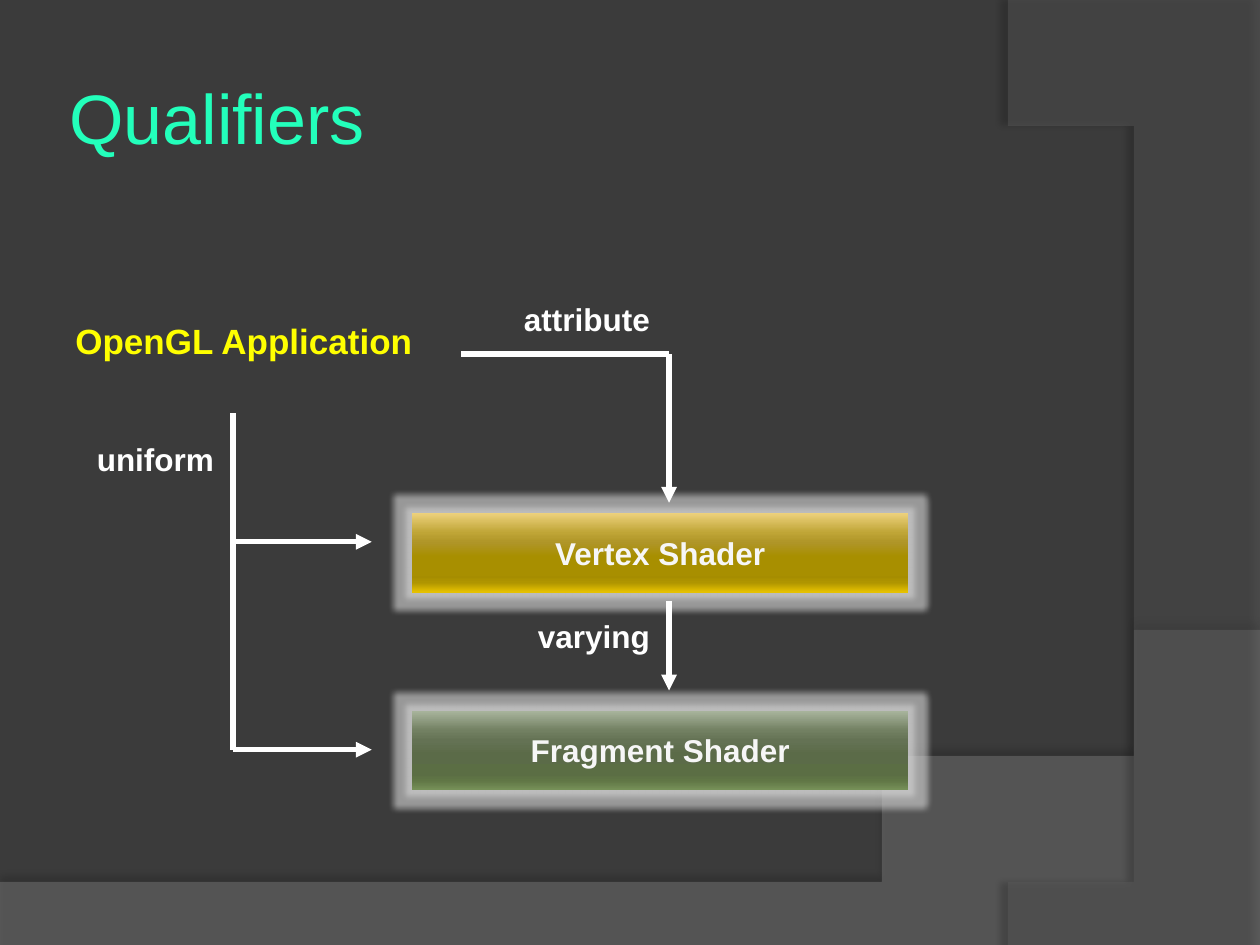
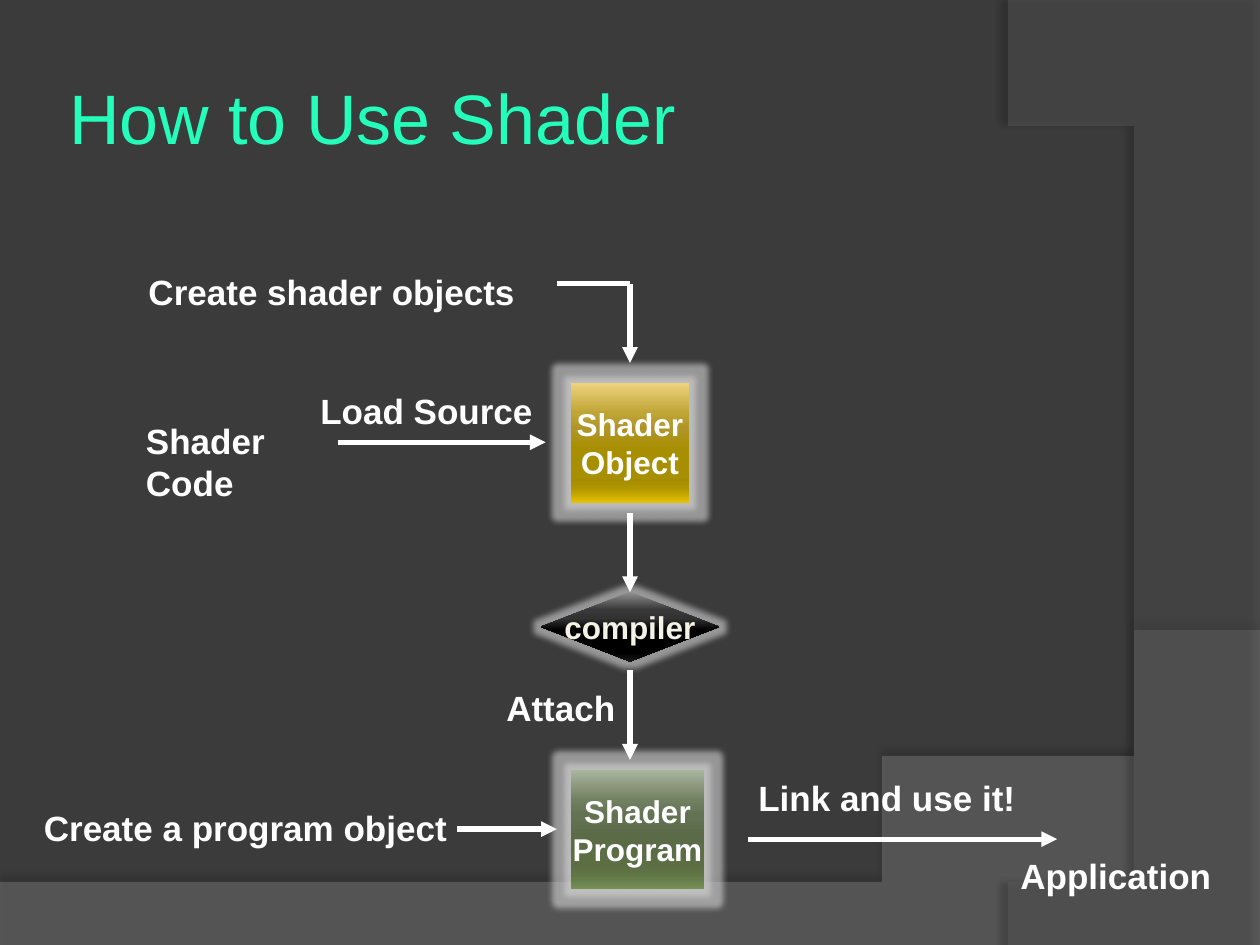
from dataclasses import dataclass

from lxml import etree
from pptx import Presentation
from pptx.dml.color import RGBColor
from pptx.enum.shapes import MSO_CONNECTOR, MSO_SHAPE
from pptx.enum.text import MSO_ANCHOR, MSO_AUTO_SIZE, PP_ALIGN
from pptx.oxml.ns import qn
from pptx.slide import Slide
from pptx.util import Inches, Pt

STRAIGHT = MSO_CONNECTOR.STRAIGHT
RECTANGLE, DIAMOND = MSO_SHAPE.RECTANGLE, MSO_SHAPE.DIAMOND
TOP, MIDDLE = MSO_ANCHOR.TOP, MSO_ANCHOR.MIDDLE
LEFT, CENTER = PP_ALIGN.LEFT, PP_ALIGN.CENTER
GROW = MSO_AUTO_SIZE.SHAPE_TO_FIT_TEXT

FONT = "Arial"
CHARCOAL = RGBColor(0x3B, 0x3B, 0x3B)
HILL_GRAY = RGBColor(0x7F, 0x7F, 0x7F)
ARC_GRAY = RGBColor(0x5E, 0x5E, 0x5E)
BLACK = RGBColor(0, 0, 0)
MINT = RGBColor(0x23, 0xFF, 0xBB)
YELLOW = RGBColor(0xFF, 0xFF, 0)
WHITE = RGBColor(0xFF, 0xFF, 0xFF)
OFF_WHITE = RGBColor(0xF6, 0xF6, 0xF6)
CREAM = RGBColor(0xF3, 0xF2, 0xE5)
GLOW = RGBColor(0xD6, 0xD6, 0xD6)


def palette(*codes):
    return [RGBColor.from_string(code) for code in codes]


STOPS = (0, 25, 38, 55, 80, 88, 100)
GOLD = palette("EED27E", "BFA536", "AF9527", "A88F00", "A68D00", "AF9500", "E6C100")
GREEN = palette("A9B59D", "728062", "647254", "5B6B48", "5B6E44", "607645", "769058")
INK = palette("909090", "393939", "323232", "000000", "000000", "000000", "181818")


def add_child(parent, tag, **attributes):
    values = {name: str(value) for name, value in attributes.items()}
    return etree.SubElement(parent, qn(tag), values)


def add_color(parent, color, opacity=100):
    node = add_child(parent, "a:srgbClr", val=color)
    if opacity < 100:
        add_child(node, "a:alpha", val=opacity * 1000)


def add_effect(shape, tag, color, opacity, **attributes):
    shape.shadow.inherit = False
    effects = shape.element.spPr.find(qn("a:effectLst"))
    add_color(add_child(effects, tag, **attributes), color, opacity)


def write_text(shape, text, size=18, color=WHITE, bold=True, align=LEFT,
               anchor=TOP, wrap=True):
    frame = shape.text_frame
    frame.text = text
    frame.word_wrap = wrap
    frame.vertical_anchor = anchor
    for paragraph in frame.paragraphs:
        paragraph.alignment = align
        font = paragraph.runs[0].font
        font.name, font.size, font.bold = FONT, Pt(size), bold
        font.color.rgb = color
    return frame


def fill_gradient(shape, colors):
    shape.fill.gradient()
    shape.fill.gradient_angle = 270
    stop_list = shape.element.spPr.find(qn("a:gradFill")).find(qn("a:gsLst"))
    for stop in list(stop_list):
        stop_list.remove(stop)
    for position, color in zip(STOPS, colors):
        add_color(add_child(stop_list, "a:gs", pos=position * 1000), color)


@dataclass
class Diagram:
    slide: Slide
    left: float
    top: float

    def place(self, x, y):
        return Inches(self.left + x), Inches(self.top + y)

    def label(self, text, x, y, width, height=0.44, size=20, **style):
        box = self.slide.shapes.add_textbox(
            *self.place(x, y), Inches(width), Inches(height))
        write_text(box, text, size=size, **style).auto_size = GROW

    def stage(self, text, x, y, width, height, colors, color=WHITE, outline=RECTANGLE):
        block = self.slide.shapes.add_shape(
            outline, *self.place(x, y), Inches(width), Inches(height))
        fill_gradient(block, colors)
        block.line.fill.background()
        add_effect(block, "a:glow", GLOW, 60, rad=Inches(0.1))
        write_text(block, text, color=color, align=CENTER, anchor=MIDDLE, wrap=False)

    def line(self, start, end, arrow=True):
        link = self.slide.shapes.add_connector(
            STRAIGHT, *self.place(*start), *self.place(*end))
        link.line.color.rgb = WHITE
        link.line.width = Pt(3)
        if arrow:
            add_child(link.element.spPr.find(qn("a:ln")), "a:tailEnd", type="triangle")
        add_child(link.element.spPr, "a:effectLst")


def bezier(p0, p1, p2, p3, steps=48):
    points = []
    for step in range(1, steps + 1):
        t = step / steps
        weights = ((1 - t) ** 3, 3 * t * (1 - t) ** 2, 3 * t * t * (1 - t), t ** 3)
        points.append(tuple(
            sum(w * p[axis] for w, p in zip(weights, (p0, p1, p2, p3)))
            for axis in (0, 1)))
    return points


def add_master_curve(master, slide, points, color, opacity, shade, distance, direction):
    builder = slide.shapes.build_freeform(*points[0], scale=Inches(1))
    builder.add_line_segments(points[1:], close=True)
    curve = builder.convert_to_shape()
    curve.fill.solid()
    curve.fill.fore_color.rgb = color
    tint = curve.element.spPr.find(qn("a:solidFill"))[0]
    add_child(tint, "a:alpha", val=opacity * 1000)
    curve.line.fill.background()
    add_effect(curve, "a:outerShdw", BLACK, shade, blurRad=Pt(4), dist=Pt(distance),
               dir=direction * 60000, algn="ctr", rotWithShape=0)
    tree = master.shapes.element
    first_placeholder = master.placeholders[0].element
    tree.insert(tree.index(first_placeholder), curve.element)


def decorate_master(master, slide):
    master.background.fill.solid()
    master.background.fill.fore_color.rgb = CHARCOAL
    hill = [(0, 7.05), (0, 7.51), (10, 7.51), (10, 5.2)]
    hill += bezier((10, 5.2), (5.59, 7.29), (3.91, 7.19), (0, 7.05))
    add_master_curve(master, slide, hill, HILL_GRAY, 45, 35, 3.5, 270)
    arc = [(10, 0.02), (10, 7.5), (8.21, 7.5)]
    arc += bezier((8.21, 7.5), (9.35, 6.19), (10.18, 3), (8, 0))
    add_master_curve(master, slide, arc, ARC_GRAY, 40, 45, 4, 180)


def add_titled_slide(deck, text):
    slide = deck.slides.add_slide(deck.slide_layouts[5])
    title = slide.shapes.title
    title.left, title.top = Inches(0.5), Inches(0.3)
    title.width, title.height = Inches(8.17), Inches(1.25)
    frame = write_text(title, text, size=40, color=MINT, bold=False, anchor=MIDDLE)
    frame.margin_left = frame.margin_right = Inches(0.05)
    frame.margin_top = frame.margin_bottom = Inches(0.05)
    return slide


def draw_qualifiers(slide, left, top):
    diagram = Diagram(slide, left, top)
    shader_x, uniform_x, attribute_y = 4.81, 1.35, 0.48
    vertex_y, fragment_y = 1.97, 3.62
    for text, y, colors in (("Vertex Shader", 1.74, GOLD),
                            ("Fragment Shader", 3.31, GREEN)):
        diagram.stage(text, 2.77, y, 3.94, 0.63, colors, color=OFF_WHITE)
    diagram.line((3.16, attribute_y), (shader_x, attribute_y), arrow=False)
    diagram.line((shader_x, attribute_y), (shader_x, 1.66))
    diagram.line((shader_x, 2.44), (shader_x, 3.15))
    diagram.line((uniform_x, 0.95), (uniform_x, fragment_y), arrow=False)
    for y in (vertex_y, fragment_y):
        diagram.line((uniform_x, y), (2.45, y))
    diagram.label("OpenGL Application", 0, 0.16, 3, color=YELLOW)
    for text, x, y, width in (("uniform", 0.17, 1.11, 1.25),
                              ("attribute", 3.56, 0, 1.42),
                              ("varying", 3.67, 2.52, 1.1)):
        diagram.label(text, x, y, width, 0.4, size=18)


def draw_shader_pipeline(slide, left, top):
    diagram = Diagram(slide, left, top)
    spine_x, create_y = 4.75, 0.15
    diagram.stage("Shader\nObject", 4.28, 0.94, 0.94, 0.95, GOLD)
    diagram.stage("Shader\nProgram", 4.28, 4.01, 1.06, 0.95, GREEN)
    diagram.stage("compiler", 4.04, 2.6, 1.42, 0.55, INK, color=CREAM, outline=DIAMOND)
    diagram.line((4.17, create_y), (spine_x, create_y), arrow=False)
    for start_y, end_y in ((create_y, 0.78), (1.97, 2.6), (3.22, 3.93)):
        diagram.line((spine_x, start_y), (spine_x, end_y))
    for start_x, end_x, y in ((2.43, 4.08, 1.41), (3.38, 4.17, 4.48),
                              (5.69, 8.14, 4.56)):
        diagram.line((start_x, y), (end_x, y))
    diagram.label("Shader Code", 0.81, 1.18, 1.65, 0.77)
    diagram.label("Load Source", 2.08, 0.94, 2.11, align=CENTER)
    for text, x, y, width in (("Create shader objects", 0.83, 0, 3.25),
                              ("Create a program object", 0, 4.25, 3.5),
                              ("Attach", 3.67, 3.3, 1.17),
                              ("Link and use it!", 5.67, 4.01, 2.39),
                              ("Application", 7.75, 4.63, 1.88)):
        diagram.label(text, x, y, width)


def main():
    deck = Presentation()
    deck.slide_width, deck.slide_height = Inches(10), Inches(7.5)
    qualifiers = add_titled_slide(deck, "Qualifiers")
    decorate_master(deck.slide_master, qualifiers)
    draw_qualifiers(qualifiers, 0.5, 2.33)
    usage = add_titled_slide(deck, "How to Use Shader")
    draw_shader_pipeline(usage, 0.25, 2.1)
    deck.save("out.pptx")


if __name__ == "__main__":
    main()
